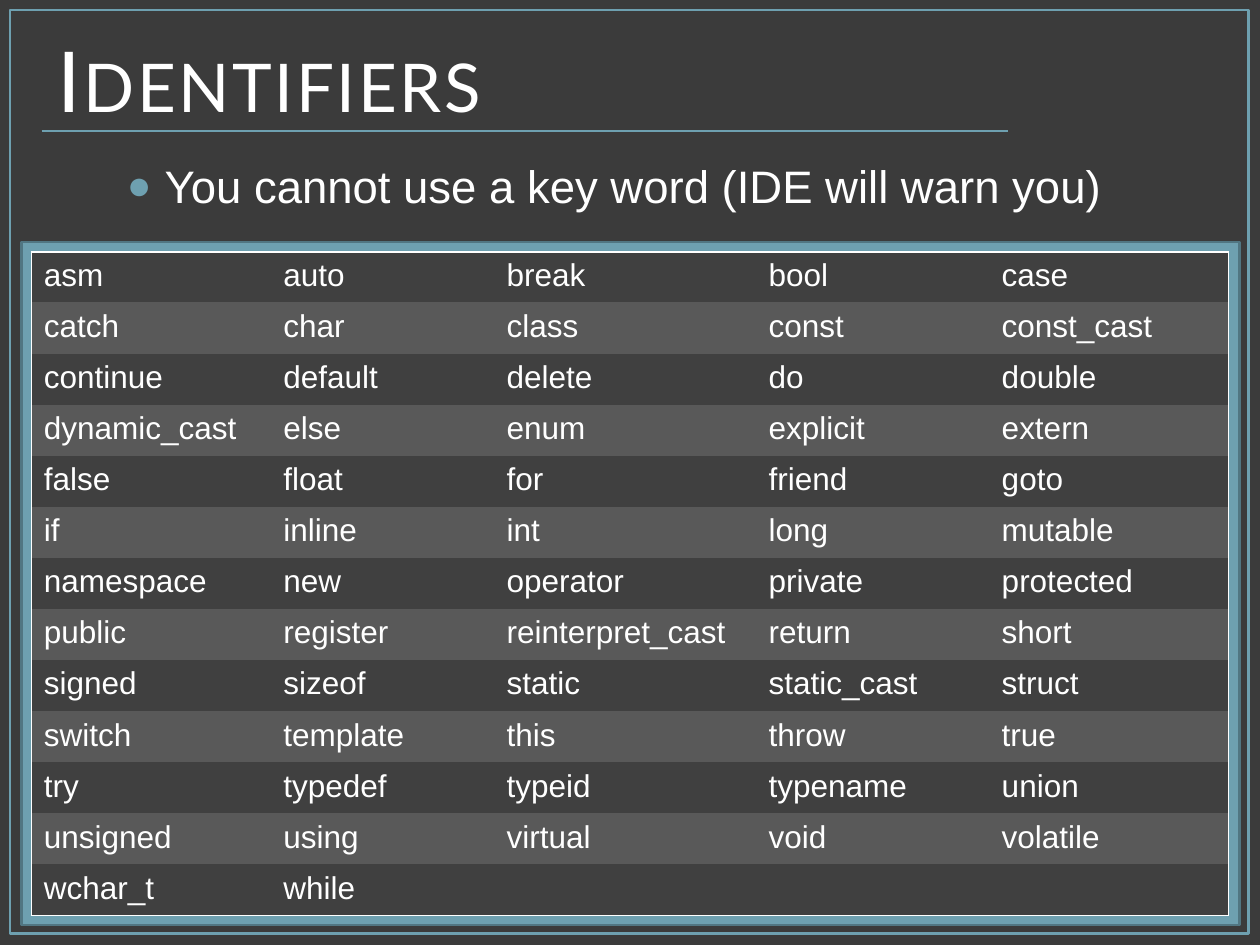
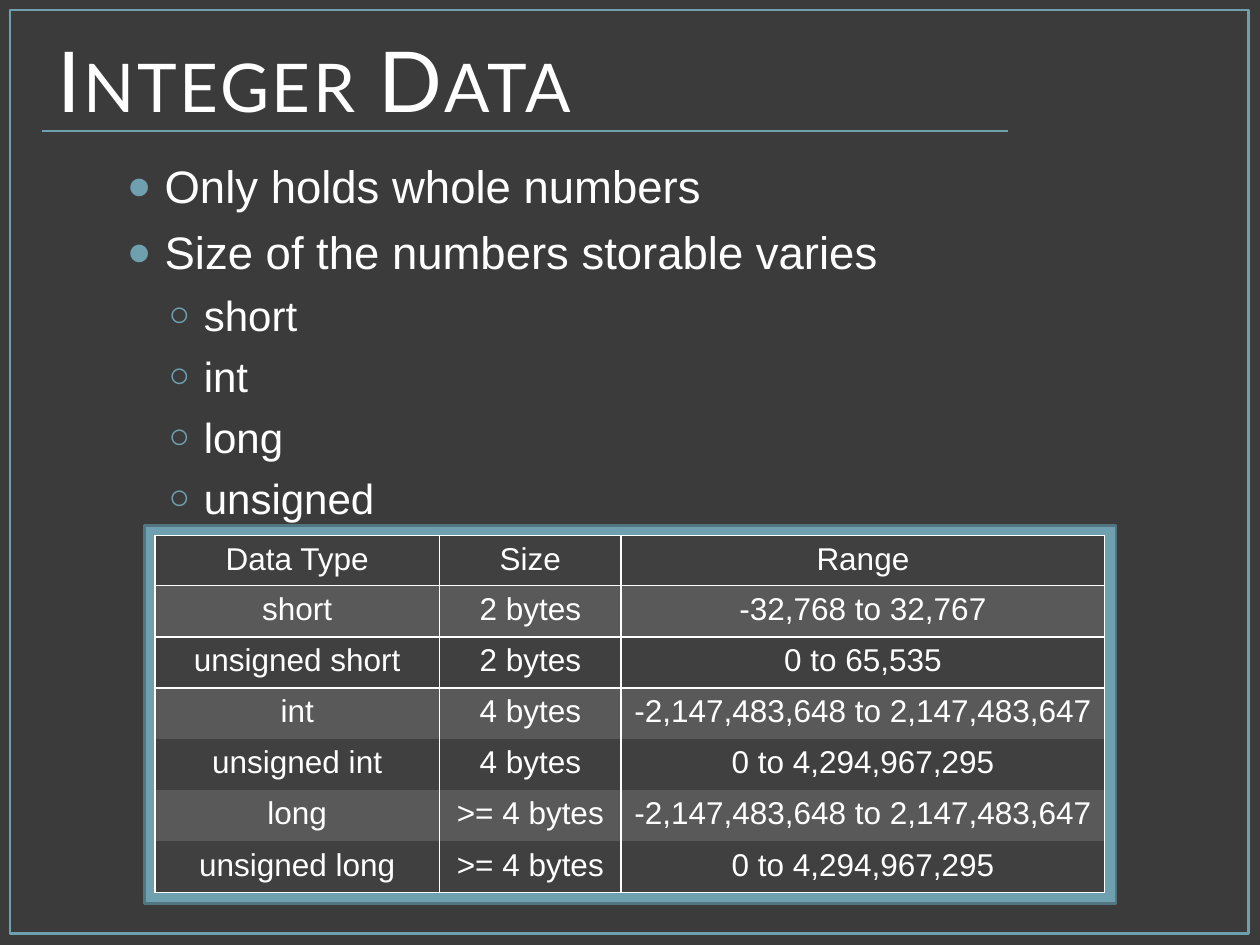
from lxml import etree
from pptx import Presentation
from pptx.dml.color import RGBColor
from pptx.enum import shapes, text
from pptx.oxml import ns
from pptx.util import Cm, Pt

COLORS = {
    "background": "3B3B3B",
    "accent": "6EA0B0",
    "panel_edge": "517682",
    "text": "FFFFFF",
    "row_dark": "404040",
    "row_light": "595959",
}
TITLE_FONT = {"name": "Lato", "size": Pt(48)}
CELL_FONT = {"name": "Arial", "size": Pt(18)}
BULLETS = {
    1: {"char": "●", "scale": 90, "left": 2.0, "hang": 0.76, "size": 26, "before": 6.7},
    2: {"char": "○", "scale": 85, "left": 2.79, "hang": 0.71, "size": 24, "before": 6.1},
}
NO_GRID_STYLE = "{2D5ABB26-0587-4C30-8999-92F81FD0307C}"

# Boxes are left, top, width, height in centimetres.
FRAME_BOX = (0.2, 0.2, 24.97, 18.62)
TITLE_BOX = (0.91, 0, 22.86, 3.18)
BODY_BOX = (1.07, 2.97, 23.29, 15.24)
PANEL_PAD = 0.2
FIRST_ROW, NEXT_ROW = 0.97, 1.03

KEYWORDS = """
asm auto break bool case
catch char class const const_cast
continue default delete do double
dynamic_cast else enum explicit extern
false float for friend goto
if inline int long mutable
namespace new operator private protected
public register reinterpret_cast return short
signed sizeof static static_cast struct
switch template this throw true
try typedef typeid typename union
unsigned using virtual void volatile
wchar_t while
"""
INTEGER_TYPES = [
    ("Data Type", "Size", "Range"),
    ("short", "2 bytes", "-32,768 to 32,767"),
    ("unsigned short", "2 bytes", "0 to 65,535"),
    ("int", "4 bytes", "-2,147,483,648 to 2,147,483,647"),
    ("unsigned int", "4 bytes", "0 to 4,294,967,295"),
    ("long", ">= 4 bytes", "-2,147,483,648 to 2,147,483,647"),
    ("unsigned long", ">= 4 bytes", "0 to 4,294,967,295"),
]


def rgb(name):
    return RGBColor.from_string(COLORS[name])


def cms(values):
    return [Cm(v) for v in values]


def sub(parent, tag, **attrs):
    return etree.SubElement(parent, ns.qn(tag), attrs)


def add_run(p, content, font):
    r = p.add_run()
    r.text = content
    for key, value in font.items():
        setattr(r.font, key, value)
    r.font.color.rgb = rgb("text")
    return r


def add_rect(slide, box, edge, fill=None):
    sp = slide.shapes.add_shape(shapes.MSO_SHAPE.RECTANGLE, *cms(box))
    sp.shadow.inherit = False
    if fill:
        sp.fill.solid()
        sp.fill.fore_color.rgb = rgb(fill)
    else:
        sp.fill.background()
    sp.line.color.rgb = rgb(edge)
    sp.line.width = Pt(1.5)


def add_frame(slide, box):
    """Outer border and the rule under the title."""
    left, top = box[:2]
    add_rect(slide, box, "accent")
    x, y = left + 0.64, top + 2.44
    rule = slide.shapes.add_connector(
        shapes.MSO_CONNECTOR.STRAIGHT, *cms((x, y, x + 19.48, y)))
    rule.line.color.rgb = rgb("accent")
    rule.line.width = Pt(0.75)
    sub(rule._element.spPr, "a:effectLst")


def add_title(slide, box, content):
    tf = slide.shapes.add_textbox(*cms(box)).text_frame
    tf.word_wrap = True
    tf.vertical_anchor = text.MSO_ANCHOR.MIDDLE
    r = add_run(tf.paragraphs[0], content, TITLE_FONT)
    for key, value in {"cap": "small", "spc": "150"}.items():
        r.font._element.set(key, value)


def add_bullets(slide, box, items):
    """Bulleted list from (level, text) pairs."""
    tf = slide.shapes.add_textbox(*cms(box)).text_frame
    tf.word_wrap = True
    tf.margin_top = Cm(0.21)
    for i, (level, content) in enumerate(items):
        style = BULLETS[level]
        p = tf.add_paragraph() if i else tf.paragraphs[0]
        p.level = level - 1
        if i:
            p.space_before = Pt(style["before"])
        add_run(p, content, {"name": "Arial", "size": Pt(style["size"])})
        pPr = p._p.get_or_add_pPr()
        pPr.set("marL", str(Cm(style["left"])))
        pPr.set("indent", str(-Cm(style["hang"])))
        sub(sub(pPr, "a:buClr"), "a:srgbClr", val=COLORS["accent"])
        sub(pPr, "a:buSzPct", val=str(style["scale"] * 1000))
        sub(pPr, "a:buFont", typeface="Arial")
        sub(pPr, "a:buChar", char=style["char"])


def add_cell_border(cell, side):
    ln = sub(cell._tc.get_or_add_tcPr(), f"a:ln{side}", w=str(Pt(1)))
    sub(sub(ln, "a:solidFill"), "a:srgbClr", val=COLORS["text"])


def add_panel_table(slide, box, rows, widths, align, h_rules, v_rules):
    """Striped table on a panel; the rules are row and column boundaries with a line."""
    add_rect(slide, box, "panel_edge", "accent")
    left, top = box[0] + PANEL_PAD, box[1] + PANEL_PAD
    height = FIRST_ROW + NEXT_ROW * (len(rows) - 1)
    table = slide.shapes.add_table(
        len(rows), len(widths), *cms((left, top, sum(widths), height))).table
    table.first_row = table.horz_banding = False
    table._tbl.tblPr.find(ns.qn("a:tableStyleId")).text = NO_GRID_STYLE
    for column, width in zip(table.columns, widths):
        column.width = Cm(width)
    for r, row in enumerate(rows):
        table.rows[r].height = Cm(NEXT_ROW if r else FIRST_ROW)
        for c in range(len(widths)):
            cell = table.cell(r, c)
            ruled = {"L": c in v_rules, "R": c + 1 in v_rules,
                     "T": r in h_rules, "B": r + 1 in h_rules}
            for side, shown in ruled.items():
                if shown:
                    add_cell_border(cell, side)
            cell.fill.solid()
            cell.fill.fore_color.rgb = rgb("row_light" if r % 2 else "row_dark")
            if c < len(row):
                p = cell.text_frame.paragraphs[0]
                p.alignment = align
                add_run(p, row[c], CELL_FONT)


def add_base_slide(prs, title, items):
    slide = prs.slides.add_slide(prs.slide_layouts[6])
    add_frame(slide, FRAME_BOX)
    add_title(slide, TITLE_BOX, title)
    add_bullets(slide, BODY_BOX, items)
    return slide


def build_identifiers(prs):
    slide = add_base_slide(prs, "Identifiers", [
        (1, "You cannot use a key word (IDE will warn you)")])
    rows = [line.split() for line in KEYWORDS.strip().splitlines()]
    add_panel_table(slide, (0.43, 4.88, 24.56, 13.77), rows,
                    (4.83, 4.5, 5.28, 4.7, 4.83), text.PP_ALIGN.LEFT,
                    h_rules={0, len(rows)}, v_rules={0, 5})


def build_integer_data(prs):
    names = ("short", "int", "long", "unsigned")
    slide = add_base_slide(prs, "Integer Data", [
        (1, "Only holds whole numbers"),
        (1, "Size of the numbers storable varies"),
        *((2, name) for name in names)])
    add_panel_table(slide, (2.92, 10.59, 19.58, 7.62), INTEGER_TYPES,
                    (5.74, 3.66, 9.75), text.PP_ALIGN.CENTER,
                    h_rules={0, 1, 2, len(INTEGER_TYPES)}, v_rules=set(range(4)))


def main():
    prs = Presentation()
    prs.slide_width, prs.slide_height = cms((25.4, 19.05))
    fill = prs.slide_master.background.fill
    fill.solid()
    fill.fore_color.rgb = rgb("background")
    build_identifiers(prs)
    build_integer_data(prs)
    prs.save("out.pptx")


if __name__ == "__main__":
    main()
